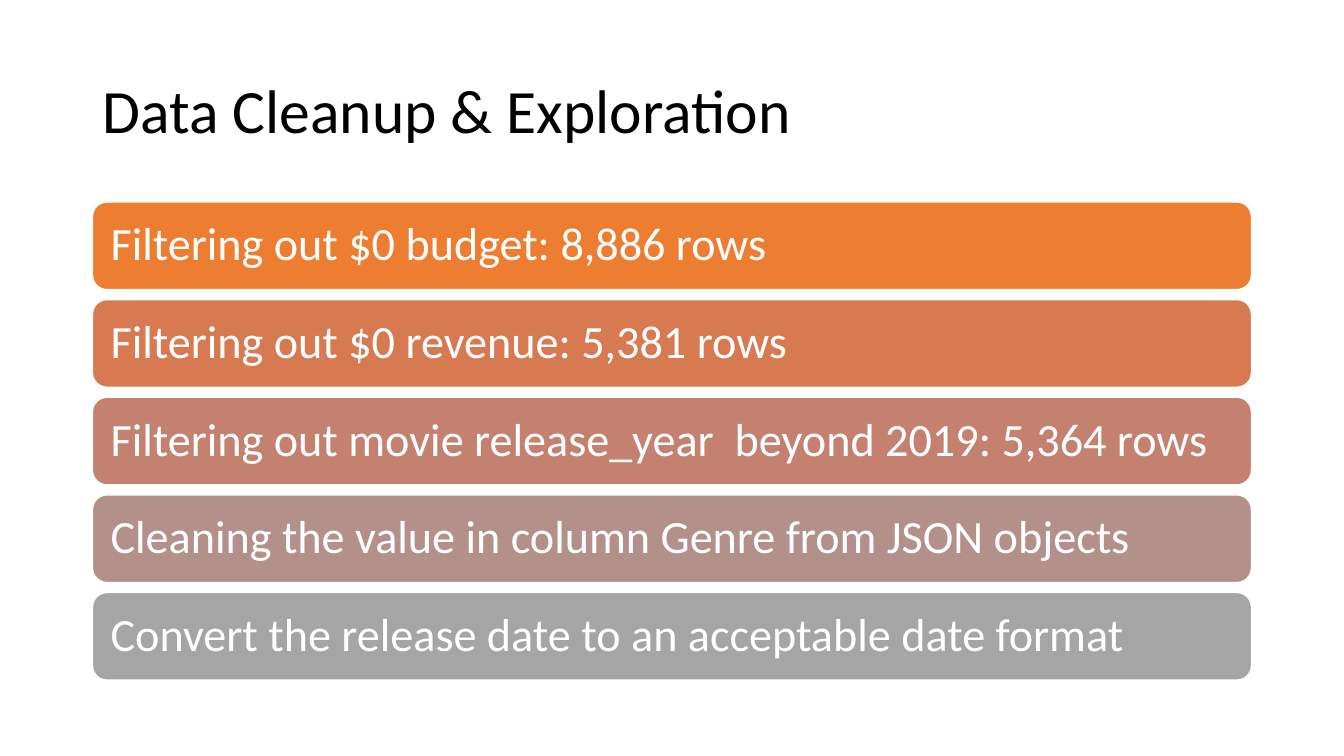
"""Build the slide on data cleanup and exploration steps."""
from dataclasses import dataclass

from pptx import Presentation
from pptx.dml.color import RGBColor
from pptx.enum.shapes import MSO_SHAPE
from pptx.enum.text import MSO_ANCHOR, MSO_AUTO_SIZE, PP_ALIGN
from pptx.slide import Slide
from pptx.text.text import TextFrame
from pptx.util import Cm, Pt

ROUNDED = MSO_SHAPE.ROUNDED_RECTANGLE
MIDDLE = MSO_ANCHOR.MIDDLE
NO_AUTOFIT = MSO_AUTO_SIZE.NONE
LEFT = PP_ALIGN.LEFT

COLORS = {
    "title": "000000",
    "white": "FFFFFF",
    "budget": "ED7D31",
    "revenue": "D87A51",
    "year": "C48170",
    "genre": "B4908B",
    "date": "A5A5A5",
}
FONT = "Calibri"
MARGIN, CONTENT_WIDTH = Cm(2.33), Cm(29.21)
STEPS_TOP, STEP_HEIGHT, STEP_PITCH = Cm(5.09), Cm(2.21), Cm(2.46)
STEP_INSET = Cm(0.35)


@dataclass(frozen=True)
class CleanupStep:
    """One cleanup step and its colour key."""
    text: str
    color: str


STEPS = [
    CleanupStep("Filtering out $0 budget: 8,886 rows", "budget"),
    CleanupStep("Filtering out $0 revenue: 5,381 rows", "revenue"),
    CleanupStep("Filtering out movie release_year  beyond 2019: 5,364 rows", "year"),
    CleanupStep("Cleaning the value in column Genre from JSON objects", "genre"),
    CleanupStep("Convert the release date to an acceptable date format", "date"),
]


def rgb(key: str) -> RGBColor:
    """Look up a colour by its key."""
    return RGBColor.from_string(COLORS[key])


def write_text(frame: TextFrame, text: str, size: float, color: str) -> None:
    """Write one left-aligned, vertically centred paragraph."""
    frame.word_wrap = True
    frame.auto_size = NO_AUTOFIT
    frame.vertical_anchor = MIDDLE
    paragraph = frame.paragraphs[0]
    paragraph.text = text
    paragraph.alignment = LEFT
    paragraph.line_spacing = 0.9
    paragraph.font.name = FONT
    paragraph.font.size = Pt(size)
    paragraph.font.color.rgb = rgb(color)


def add_title(slide: Slide, text: str) -> None:
    """Place and fill the title placeholder."""
    title = slide.shapes.title
    title.left, title.top = MARGIN, Cm(1.01)
    title.width, title.height = CONTENT_WIDTH, Cm(3.68)
    write_text(title.text_frame, text, 44, "title")


def add_step(slide: Slide, index: int, step: CleanupStep) -> None:
    """Draw one step as a rounded bar in the stack."""
    top = STEPS_TOP + index * STEP_PITCH
    bar = slide.shapes.add_shape(ROUNDED, MARGIN, top, CONTENT_WIDTH, STEP_HEIGHT)
    bar.shadow.inherit = False
    bar.fill.solid()
    bar.fill.fore_color.rgb = rgb(step.color)
    bar.line.color.rgb = rgb("white")
    bar.line.width = Pt(1)
    frame = bar.text_frame
    frame.margin_left = frame.margin_right = STEP_INSET
    frame.margin_top = frame.margin_bottom = STEP_INSET
    write_text(frame, step.text, 33, "white")


def main() -> None:
    """Build and save the presentation."""
    presentation = Presentation()
    presentation.slide_width, presentation.slide_height = Cm(33.87), Cm(19.05)
    slide = presentation.slides.add_slide(presentation.slide_layouts[5])
    add_title(slide, "Data Cleanup & Exploration")
    for index, step in enumerate(STEPS):
        add_step(slide, index, step)
    presentation.save("out.pptx")


if __name__ == "__main__":
    main()
